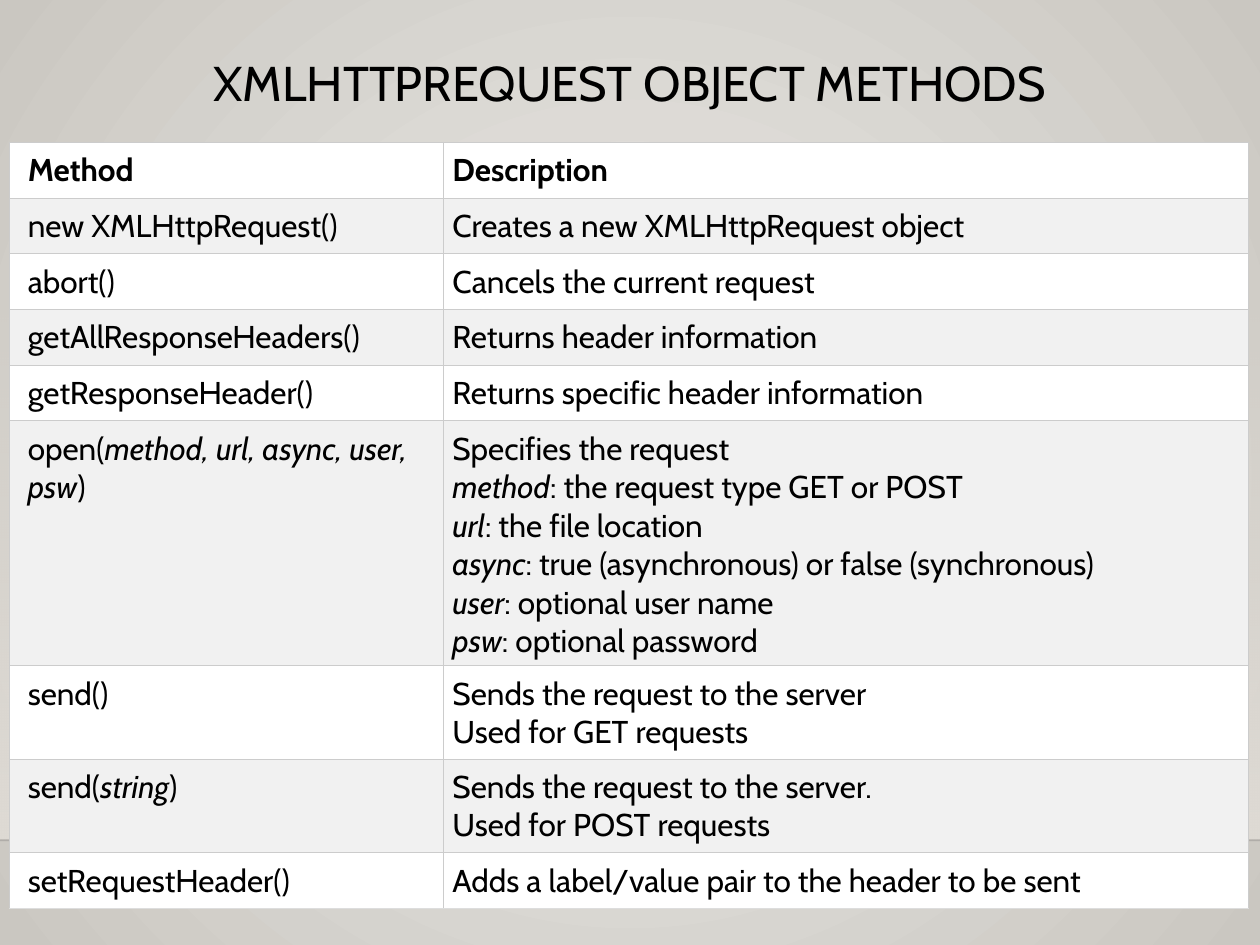
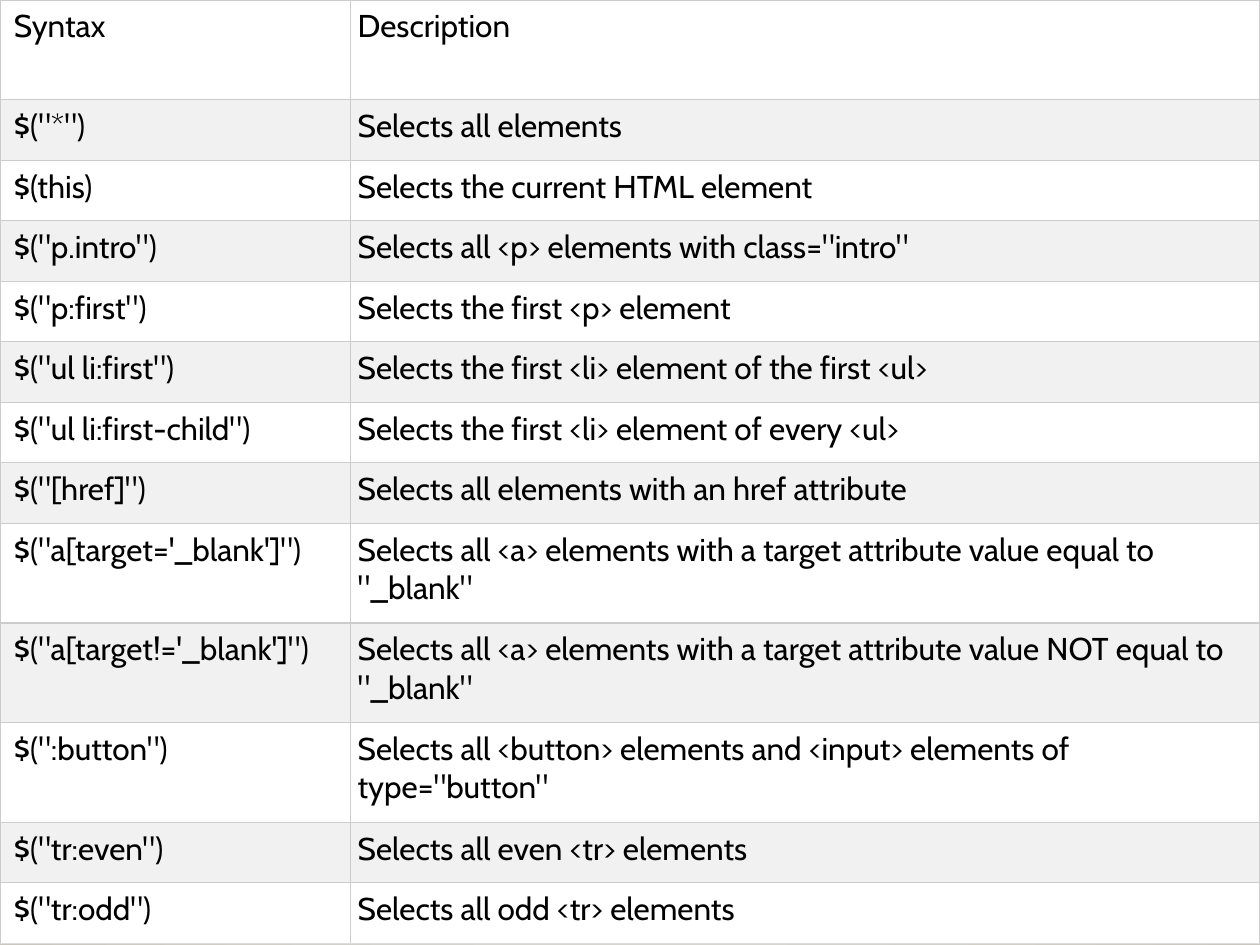
from dataclasses import dataclass

from lxml import etree
from pptx import Presentation
from pptx import util as u
from pptx.dml.color import RGBColor
from pptx.enum import shapes, text
from pptx.oxml import parse_xml
from pptx.oxml.ns import nsdecls, qn


@dataclass(frozen=True)
class Theme:
    font: str = "Cabin"
    ink: str = "000000"
    bg_inner: str = "ECEAE7"
    bg_outer: str = "CAC7C1"
    band: str = "DFDBD5"
    rule: str = "000001"
    row_fills: tuple = ("FFFFFF", "F1F1F1")
    border: str = "CCCCCC"
    last_border: str = "DDDDDD"
    title_size: float = 27.9
    body_size: float = 18
    border_width: float = 0.75


T = Theme()
WIDTH, HEIGHT = u.Cm(25.4), u.Cm(19.05)

METHODS = [
    ("Method", "Description"),
    ("new XMLHttpRequest()", "Creates a new XMLHttpRequest object"),
    ("abort()", "Cancels the current request"),
    ("getAllResponseHeaders()", "Returns header information"),
    ("getResponseHeader()", "Returns specific header information"),
    ("open(`method, url, async, user, psw`)",
     "Specifies the request\n"
     "`method`: the request type GET or POST\n"
     "`url`: the file location\n"
     "`async`: true (asynchronous) or false (synchronous)\n"
     "`user`: optional user name\n"
     "`psw`: optional password"),
    ("send()", "Sends the request to the server\nUsed for GET requests"),
    ("send(`string`)", "Sends the request to the server.\nUsed for POST requests"),
    ("setRequestHeader()", "Adds a label/value pair to the header to be sent"),
]

SELECTORS = [
    ("Syntax", "Description"),
    ('$("*")', "Selects all elements"),
    ("$(this)", "Selects the current HTML element"),
    ('$("p.intro")', 'Selects all <p> elements with class="intro"'),
    ('$("p:first")', "Selects the first <p> element"),
    ('$("ul li:first")', "Selects the first <li> element of the first <ul>"),
    ('$("ul li:first-child")', "Selects the first <li> element of every <ul>"),
    ('$("[href]")', "Selects all elements with an href attribute"),
    ("$(\"a[target='_blank']\")",
     'Selects all <a> elements with a target attribute value equal to "_blank"'),
    ("$(\"a[target!='_blank']\")",
     'Selects all <a> elements with a target attribute value NOT equal to "_blank"'),
    ('$(":button")',
     'Selects all <button> elements and <input> elements of type="button"'),
    ('$("tr:even")', "Selects all even <tr> elements"),
    ('$("tr:odd")', "Selects all odd <tr> elements"),
]


def rgb(value):
    return RGBColor.from_string(value)


def set_alpha(color_element, percent):
    etree.SubElement(color_element, qn("a:alpha")).set("val", str(percent * 1000))


def set_gradient(fill, *colors):
    fill.gradient()
    for stop, color, position in zip(fill.gradient_stops, colors, (0, 1)):
        stop.color.rgb = rgb(color)
        stop.position = position


def set_background(master):
    set_gradient(master.background.fill, T.bg_inner, T.bg_outer)
    grad = master._element.find(".//" + qn("a:gradFill"))
    grad.replace(grad.find(qn("a:lin")), parse_xml(
        f'<a:path {nsdecls("a")} path="circle">'
        '<a:fillToRect l="50000" t="50000" r="50000" b="50000"/></a:path>'))


def add_band(s):
    sp = s.shapes.add_shape(shapes.MSO_SHAPE.RECTANGLE, 0, u.Cm(5.59), WIDTH, u.Cm(11.35))
    sp.shadow.inherit = False
    sp.line.fill.background()
    set_gradient(sp.fill, T.band, T.band)
    sp.fill.gradient_angle = 270
    set_alpha(sp._element.find(".//" + qn("a:srgbClr")), 0)
    return sp


def add_floor_line(s):
    y = u.Cm(16.94)
    line = s.shapes.add_connector(shapes.MSO_CONNECTOR.STRAIGHT, 0, y, WIDTH, y)
    line.line.width = u.Pt(1)
    line.line.color.rgb = rgb(T.rule)
    set_alpha(line._element.find(".//" + qn("a:srgbClr")), 20)
    etree.SubElement(line._element.spPr, qn("a:effectLst"))
    return line


def move_to_master(master, *items):
    for item in items:
        master.shapes._spTree.append(item._element)


def add_run(p, content, size, bold=False, italic=False):
    r = p.add_run()
    r.text = content
    r.font.name = T.font
    r.font.size = u.Pt(size)
    r.font.color.rgb = rgb(T.ink)
    r.font.bold = bold
    r.font.italic = italic


def add_title(s, content):
    sp = s.shapes.add_textbox(u.Cm(1.27), u.Cm(1.07), u.Cm(22.86), u.Cm(2.49))
    tf = sp.text_frame
    tf.word_wrap = True
    tf.vertical_anchor = text.MSO_ANCHOR.TOP
    p = tf.paragraphs[0]
    p.alignment = text.PP_ALIGN.CENTER
    p.line_spacing = 0.9
    add_run(p, content, T.title_size)


def write_cell(cell, content, bold):
    p = cell.text_frame.paragraphs[0]
    for i, line in enumerate(content.split("\n")):
        if i:
            p.add_line_break()
        for j, part in enumerate(line.split("`")):
            if part:
                add_run(p, part, T.body_size, bold, italic=j % 2 == 1)


def set_borders(cell, bottom):
    tc_pr = cell._tc.get_or_add_tcPr()
    sides = {"lnL": T.border, "lnR": T.border, "lnT": T.border, "lnB": bottom}
    for i, (side, color) in enumerate(sides.items()):
        tc_pr.insert(i, parse_xml(
            f'<a:{side} {nsdecls("a")} w="{u.Pt(T.border_width)}">'
            f'<a:solidFill><a:srgbClr val="{color}"/></a:solidFill></a:{side}>'))


def add_grid(s, rows, left, top, widths, heights, inset, first_inset, bold_header=False):
    frame = s.shapes.add_table(len(rows), len(widths), u.Cm(left), u.Cm(top),
                               u.Cm(sum(widths)), u.Cm(sum(heights)))
    table = frame.table
    table.first_row = table.horz_banding = False
    for column, width in zip(table.columns, widths):
        column.width = u.Cm(width)
    for i, (values, height) in enumerate(zip(rows, heights)):
        table.rows[i].height = u.Cm(height)
        bottom = T.last_border if i == len(rows) - 1 else T.border
        for j, value in enumerate(values):
            cell = table.cell(i, j)
            cell.margin_left = u.Cm(inset if j else first_inset)
            cell.margin_right = cell.margin_top = cell.margin_bottom = u.Cm(inset)
            cell.fill.solid()
            cell.fill.fore_color.rgb = rgb(T.row_fills[i % 2])
            set_borders(cell, bottom)
            write_cell(cell, value, bold_header and i == 0)


def main():
    prs = Presentation()
    prs.slide_width, prs.slide_height = WIDTH, HEIGHT
    master = prs.slide_master
    blank = prs.slide_layouts[6]
    set_background(master)

    s = prs.slides.add_slide(blank)
    move_to_master(master, add_band(s), add_floor_line(s))
    add_title(s, "XMLHTTPREQUEST OBJECT METHODS")
    add_grid(s, METHODS, 0.2, 2.87, (8.74, 16.23),
             [0.99] * 5 + [4.88, 1.65, 1.65, 0.99],
             inset=0.18, first_inset=0.36, bold_header=True)

    s = prs.slides.add_slide(blank)
    add_grid(s, SELECTORS, 0, 0, (7.06, 18.34),
             [2.01] + [1.22] * 7 + [2.01] * 3 + [1.22] * 2,
             inset=0.15, first_inset=0.28)

    prs.save("out.pptx")


if __name__ == "__main__":
    main()
